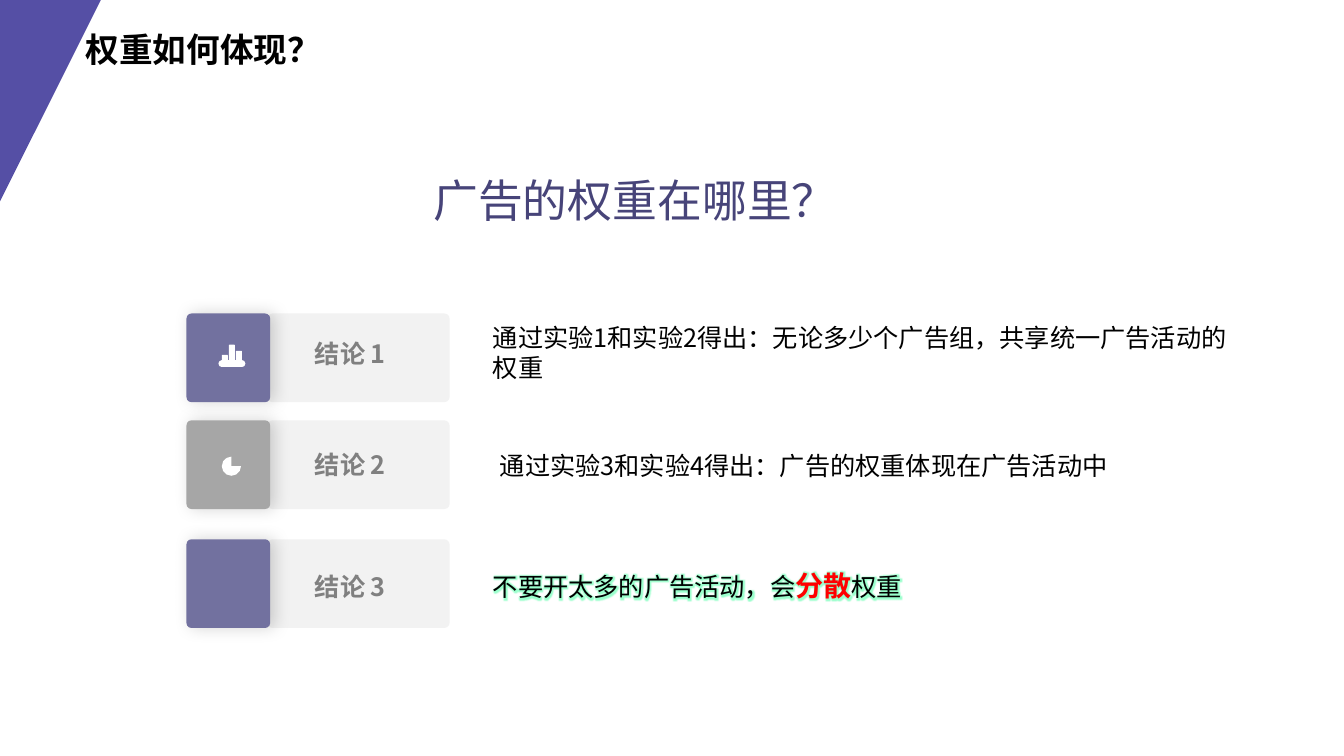
import math
from lxml import etree
from pptx import Presentation
from pptx.dml.color import RGBColor
from pptx.enum.shapes import MSO_CONNECTOR, MSO_SHAPE
from pptx.enum.text import MSO_ANCHOR, PP_ALIGN
from pptx.oxml import parse_xml
from pptx.oxml.ns import nsdecls, qn
from pptx.util import Inches, Pt

ROUNDED, PIE = MSO_SHAPE.ROUNDED_RECTANGLE, MSO_SHAPE.PIE
STRAIGHT = MSO_CONNECTOR.STRAIGHT
LEFT, CENTER, TOP = PP_ALIGN.LEFT, PP_ALIGN.CENTER, MSO_ANCHOR.TOP

FONT = "Noto Sans CJK SC"
BLACK = RGBColor(0x00, 0x00, 0x00)
WHITE = RGBColor(0xFF, 0xFF, 0xFF)
RED = RGBColor(0xFF, 0x00, 0x00)
INDIGO = RGBColor(0x55, 0x4F, 0xA5)
HEADING = RGBColor(0x47, 0x44, 0x79)
PURPLE = RGBColor(0x72, 0x71, 0x9F)
GRAY = RGBColor(0xA6, 0xA6, 0xA6)
LABEL_GRAY = RGBColor(0x80, 0x80, 0x80)
PANEL = RGBColor(0xF2, 0xF2, 0xF2)

# Columns of the conclusion rows: left edge and width
TILE_X, TILE_W = 1.85, 0.83
PANEL_X, PANEL_W = 2.65, 1.81
LABEL_X, LABEL_W = 2.75, 1.45
ROW_H = 0.88

SHADOW = (f'<a:effectLst {nsdecls("a")}><a:outerShdw blurRad="{Pt(12)}" dist="{Pt(3)}" dir="0" '
          'algn="l" rotWithShape="0"><a:srgbClr val="000000"><a:alpha val="17000"/>'
          '</a:srgbClr></a:outerShdw></a:effectLst>')
GLOW = (f'<a:effectLst {nsdecls("a")}><a:glow rad="{Pt(5)}"><a:srgbClr val="00FF80">'
        '<a:alpha val="40000"/></a:srgbClr></a:glow></a:effectLst>')


def write(sp, text, size, color, bold=False, align=LEFT, wrap=True):
    """Fill a text box or placeholder with one formatted paragraph."""
    tf = sp.text_frame
    tf.word_wrap = wrap
    tf.vertical_anchor = TOP
    p = tf.paragraphs[0]
    p.alignment = align
    p.add_run().text = text
    f = p.font
    f.size, f.bold, f.name = Pt(size), bold, FONT
    f.color.rgb = color
    defaults = p._p.pPr.find(qn("a:defRPr"))
    etree.SubElement(defaults, qn("a:ea")).set("typeface", FONT)
    return p


def paint(sp, color):
    sp.shadow.inherit = False
    sp.fill.solid()
    sp.fill.fore_color.rgb = color
    sp.line.fill.background()
    return sp


prs = Presentation()
prs.slide_width, prs.slide_height = Inches(13.33), Inches(7.5)
s = prs.slides.add_slide(prs.slide_layouts[5])
shapes = s.shapes

# Corner wedge and titles
corner = shapes.build_freeform(0, 0, scale=Inches(1))
corner.add_line_segments([(0.42, 0), (0.68, 0.4), (0, 1.5)])
paint(corner.convert_to_shape(), INDIGO)

title = shapes.title
title.left, title.top = Inches(0.75), Inches(0.24)
title.width, title.height = Inches(3.71), Inches(0.5)
write(title, "权重如何体现？", 24, BLACK, bold=True)

question = shapes.add_textbox(Inches(4.2), Inches(1.66), Inches(4.2), Inches(0.64))
write(question, "广告的权重在哪里？", 32, HEADING, wrap=False)

# Conclusion rows: top, tile colour, label top, text box, text
rows = [
    (3.11, PURPLE, 3.31, (4.79, 3.15, 7.6, 0.71),
     "通过实验1和实验2得出：无论多少个广告组，共享统一广告活动的权重"),
    (4.17, GRAY, 4.41, (4.86, 4.42, 7.21, 0.4),
     "通过实验3和实验4得出：广告的权重体现在广告活动中"),
    (5.35, PURPLE, 5.62, (4.79, 5.59, 6.05, 0.44),
     "不要开太多的广告活动，会"),
]
for number, (top, color, label_top, box, text) in enumerate(rows, 1):
    for x, w, fill in ((PANEL_X, PANEL_W, PANEL), (TILE_X, TILE_W, color)):
        block = paint(shapes.add_shape(ROUNDED, Inches(x), Inches(top),
                                       Inches(w), Inches(ROW_H)), fill)
        block.adjustments[0] = 0.06
    tile_pr = block._element.spPr
    tile_pr.replace(tile_pr.find(qn("a:effectLst")), parse_xml(SHADOW))

    label = shapes.add_textbox(Inches(LABEL_X), Inches(label_top), Inches(LABEL_W), Inches(0.4))
    write(label, f"结论 {number}", 18, LABEL_GRAY, bold=True, align=CENTER)
    conclusion = shapes.add_textbox(*map(Inches, box))
    p = write(conclusion, text, 18, BLACK)

# The last conclusion stresses one word and glows
stress = p.add_run()
stress.text = "分散"
stress.font.size, stress.font.bold = Pt(20), True
stress.font.color.rgb = RED
p.add_run().text = "权重"
for r in p.runs:
    r._r.get_or_add_rPr().append(parse_xml(GLOW))

# Bar chart icon
BAR_W, BAR_STEP, BAR_BASE = 0.06, 0.07, 3.59
for i, h in enumerate((0.07, 0.17, 0.11)):
    bar = paint(shapes.add_shape(ROUNDED, Inches(2.2 + i * BAR_STEP), Inches(BAR_BASE - h),
                                 Inches(BAR_W), Inches(h)), WHITE)
    bar.adjustments[0] = 0.1
base = shapes.add_connector(STRAIGHT, Inches(2.2), Inches(3.61), Inches(2.4), Inches(3.61))
base.line.color.rgb = WHITE
base.line.width = Pt(4.88)
base.line._get_or_add_ln().set("cap", "rnd")
etree.SubElement(base._element.spPr, qn("a:effectLst"))

# Pie chart icon: three quarters, and a lifted slice with an opening
paint(shapes.add_shape(PIE, Inches(2.2), Inches(4.53), Inches(0.19), Inches(0.19)), WHITE)
SLICE_X, SLICE_Y, SLICE_R = 2.3, 4.61, 0.09
arc = [(SLICE_X + SLICE_R * math.sin(math.radians(a)),
        SLICE_Y - SLICE_R * math.cos(math.radians(a))) for a in range(0, 91, 10)]
piece = shapes.build_freeform(SLICE_X, SLICE_Y, scale=Inches(1))
piece.add_line_segments(arc)
piece.move_to(2.31, 4.59)
piece.add_line_segments([(2.31, 4.53), (2.36, 4.54)])
paint(piece.convert_to_shape(), WHITE)

prs.save("out.pptx")
